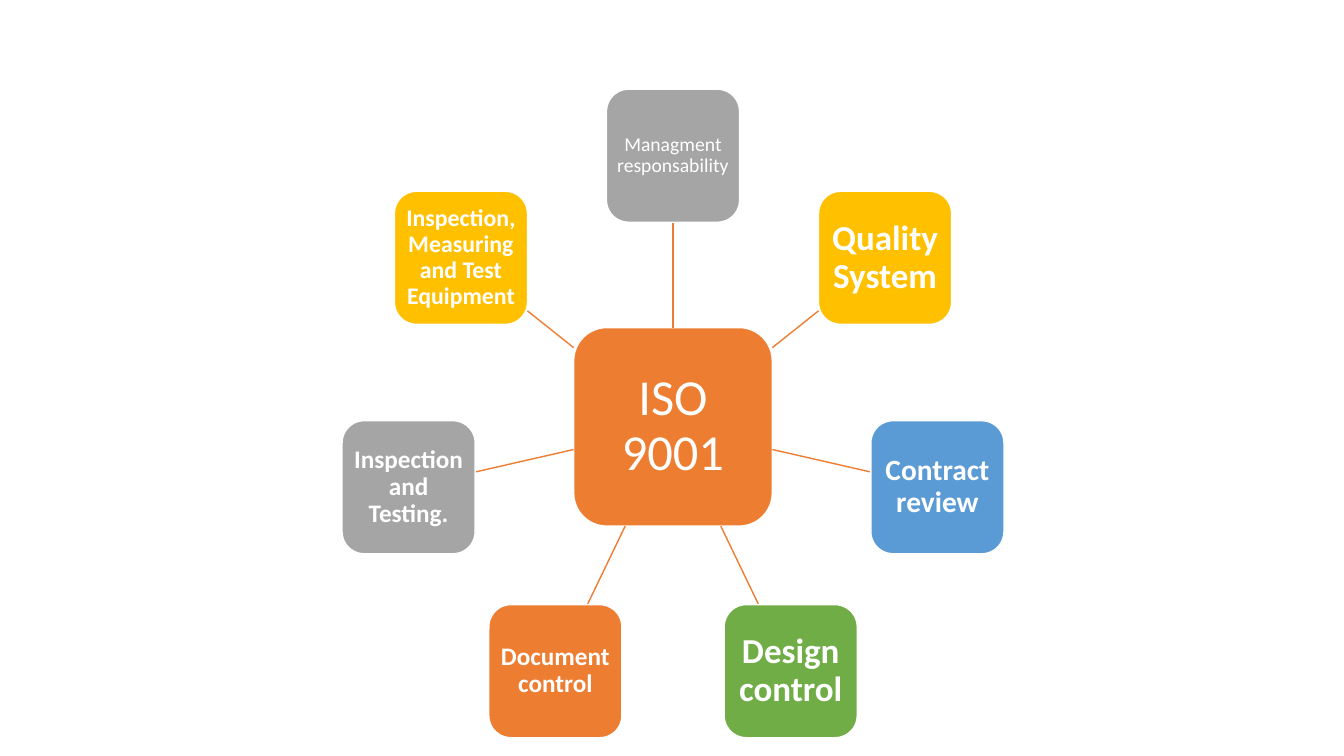
from math import cos, radians, sin

from lxml.etree import SubElement
from pptx import Presentation
from pptx.dml.color import RGBColor
from pptx.enum.shapes import MSO_CONNECTOR, MSO_SHAPE
from pptx.enum.text import MSO_ANCHOR, PP_ALIGN
from pptx.oxml.ns import qn
from pptx.util import Inches, Pt

HUB_X, HUB_Y = 6.675, 4.235
HUB_SIZE, TOPIC_SIZE = 1.97, 1.32
RADIUS = 2.69
WHITE, ORANGE, GREY, GOLD = "FFFFFF", "ED7D31", "A5A5A5", "FFC000"
BLUE, GREEN = "5B9BD5", "70AD47"

# Clockwise from the top: wording, fill, text size, bold, inset
TOPICS = [
    ("Managment responsability", GREY, 14, False, 0.04),
    ("Quality System", GOLD, 25, True, 0.07),
    ("Contract review", BLUE, 21, True, 0.06),
    ("Design control", GREEN, 25, True, 0.07),
    ("Document control", ORANGE, 18, True, 0.05),
    ("Inspection and Testing.", GREY, 18, True, 0.05),
    ("Inspection, Measuring and Test Equipment", GOLD, 17, True, 0.05),
]


def color(hex_code):
    return RGBColor.from_string(hex_code)


def point_on_ray(angle, distance):
    return HUB_X + distance * cos(angle), HUB_Y + distance * sin(angle)


def add_tile(slide, center, side, wording, fill, size, bold, inset):
    """Add a rounded square with centred text around a centre point."""
    x, y = center
    tile = slide.shapes.add_shape(
        MSO_SHAPE.ROUNDED_RECTANGLE, Inches(x - side / 2), Inches(y - side / 2),
        Inches(side), Inches(side))
    tile.shadow.inherit = False
    tile.fill.solid()
    tile.fill.fore_color.rgb = color(fill)
    tile.line.color.rgb = color(WHITE)
    tile.line.width = Pt(1)

    frame = tile.text_frame
    frame.word_wrap = True
    frame.vertical_anchor = MSO_ANCHOR.MIDDLE
    frame.margin_left = frame.margin_right = Inches(inset)
    frame.margin_top = frame.margin_bottom = Inches(inset)
    frame.text = wording
    paragraph = frame.paragraphs[0]
    paragraph.alignment = PP_ALIGN.CENTER
    paragraph.line_spacing = 0.9
    font = paragraph.runs[0].font
    font.name = "Calibri"
    font.size = Pt(size)
    font.bold = bold
    font.color.rgb = color(WHITE)
    return tile


def add_spoke(slide, angle):
    """Draw the part of a ray that lies between the hub and a topic tile."""
    reach = max(abs(cos(angle)), abs(sin(angle)))
    start = point_on_ray(angle, HUB_SIZE / 2 / reach)
    end = point_on_ray(angle, RADIUS - TOPIC_SIZE / 2 / reach)
    spoke = slide.shapes.add_connector(
        MSO_CONNECTOR.STRAIGHT, *(Inches(length) for length in start + end))
    spoke.line.color.rgb = color(ORANGE)
    spoke.line.width = Pt(1)
    SubElement(spoke._element.spPr, qn("a:effectLst"))
    return spoke


def main():
    prs = Presentation()
    prs.slide_width, prs.slide_height = Inches(13.33), Inches(7.5)
    slide = prs.slides.add_slide(prs.slide_layouts[6])

    hub = add_tile(slide, (HUB_X, HUB_Y), HUB_SIZE, "ISO 9001", ORANGE, 36, False, 0.1)
    for index, topic in enumerate(TOPICS):
        angle = radians(index * 360 / len(TOPICS) - 90)
        spoke = add_spoke(slide, angle)
        tile = add_tile(slide, point_on_ray(angle, RADIUS), TOPIC_SIZE, *topic)
        if index == 0:  # only the top spoke meets the middle of both sides
            spoke.begin_connect(hub, 0)
            spoke.end_connect(tile, 2)

    prs.save("out.pptx")


if __name__ == "__main__":
    main()
